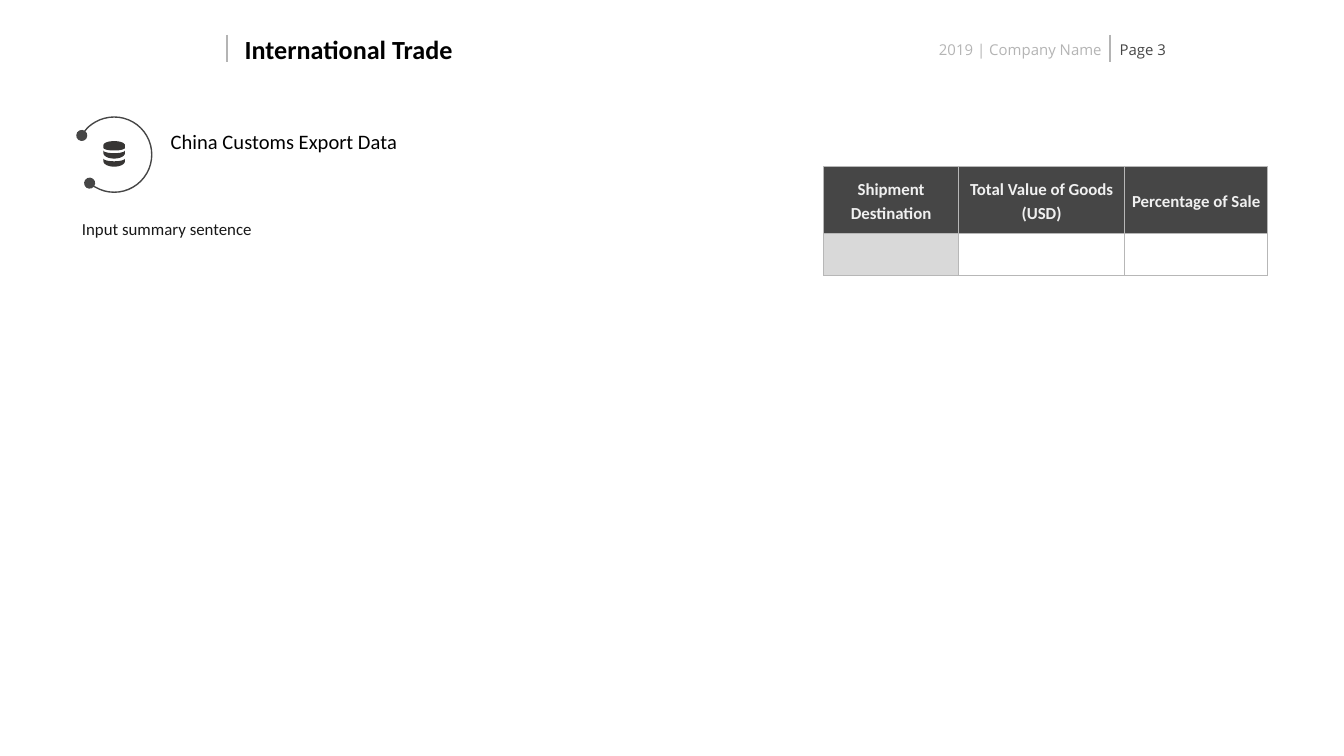
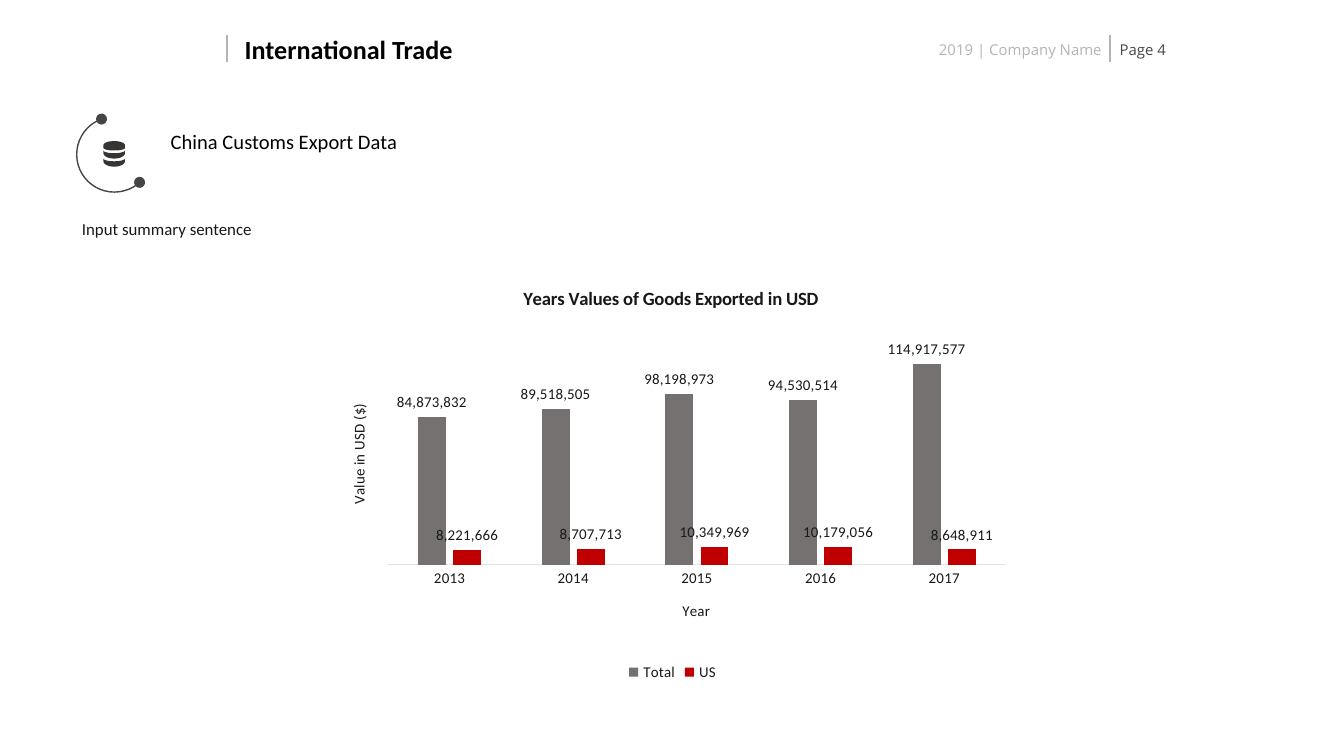
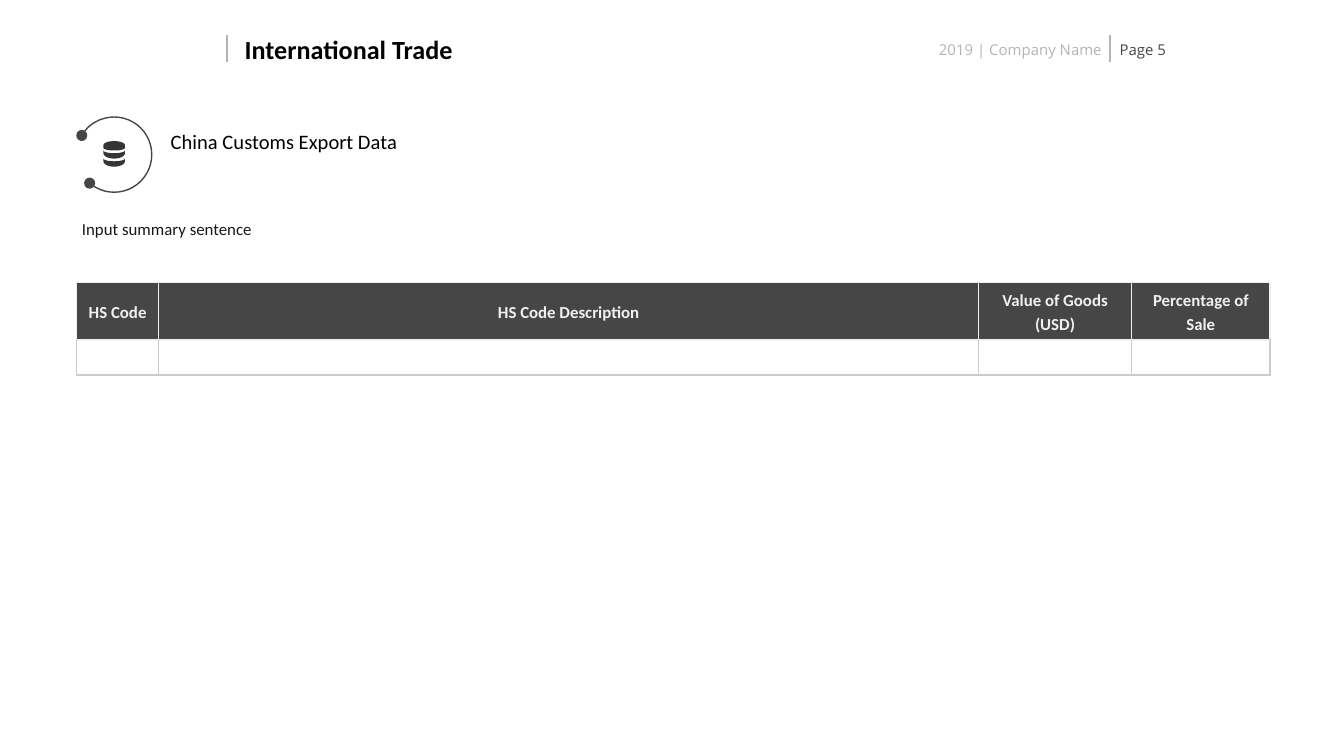
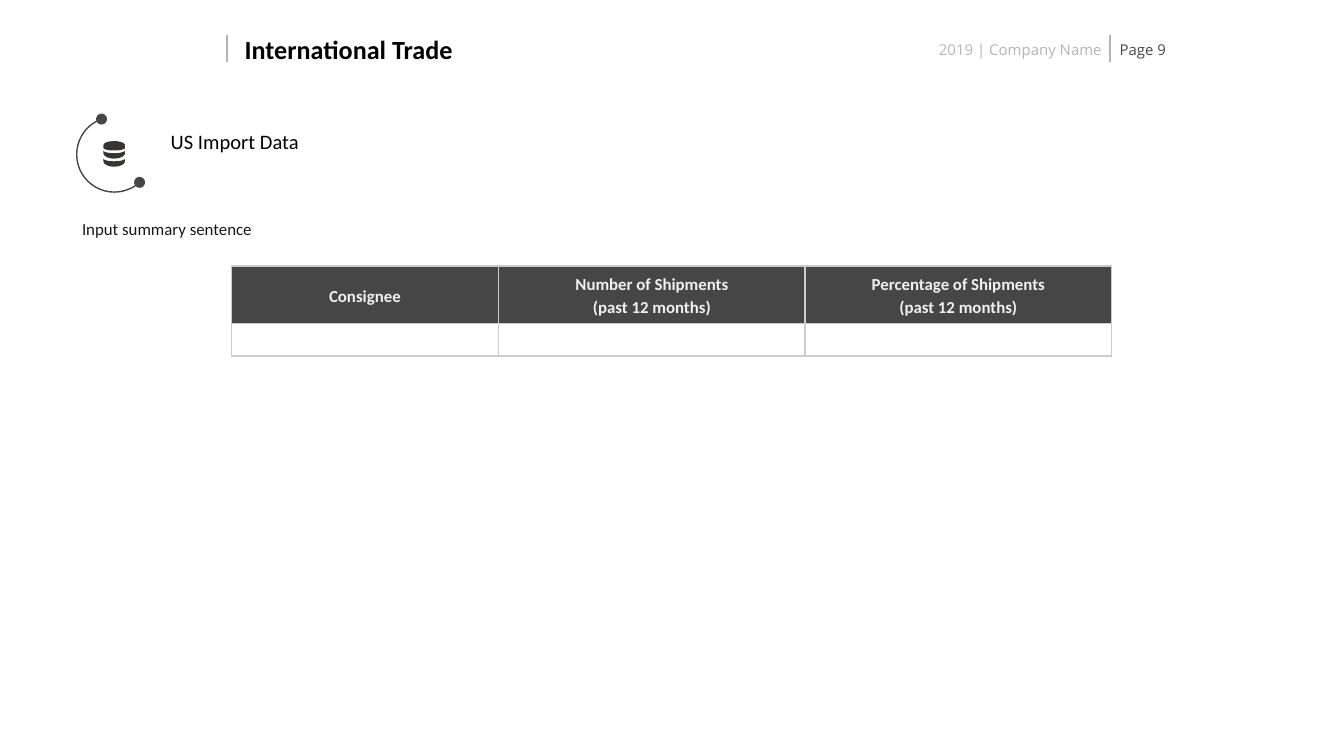
import math

import lxml.etree
import pptx
import pptx.chart.data
import pptx.dml.color
import pptx.enum.chart
import pptx.enum.shapes
import pptx.enum.text
import pptx.oxml
import pptx.oxml.ns
import pptx.util

Inches = pptx.util.Inches
Pt = pptx.util.Pt
RGBColor = pptx.dml.color.RGBColor
ALIGN = pptx.enum.text.PP_ALIGN
ANCHOR = pptx.enum.text.MSO_ANCHOR
SHAPES = pptx.enum.shapes.MSO_SHAPE
qn = pptx.oxml.ns.qn

# Shared look
BLACK = RGBColor(0x00, 0x00, 0x00)
INK = RGBColor(0x18, 0x18, 0x18)
CHARCOAL = RGBColor(0x46, 0x46, 0x46)
ICON = RGBColor(0x37, 0x35, 0x34)
MUTED = RGBColor(0xB4, 0xB4, 0xB4)
BORDER = RGBColor(0xB7, 0xB7, 0xB7)
LIGHT_BORDER = RGBColor(0xCC, 0xCC, 0xCC)
PALE = RGBColor(0xF0, 0xF0, 0xF0)
KEY_CELL = RGBColor(0xD9, 0xD9, 0xD9)
AXIS = RGBColor(0xE3, 0xE3, 0xE3)
TOTAL_BAR = RGBColor(0x76, 0x71, 0x71)
US_BAR = RGBColor(0xC0, 0x00, 0x00)
WHITE = RGBColor(0xFF, 0xFF, 0xFF)
BODY_FONT = "Calibri"
HEADER_FONT = "Open Sans"
LINE_WIDTH = Pt(0.75)

# Ring variants: rotation, then start and end of the arc
RING_OPEN_LEFT = (270, 180.35, 132.4)
RING_OPEN_RIGHT = (97.1, 186.43, 91.81)


def style_font(font, size, color=INK, bold=False, name=BODY_FONT):
    font.size = Pt(size)
    font.color.rgb = color
    font.bold = bold
    font.name = name


def write(frame, text, size, color=INK, bold=False, name=BODY_FONT,
          align=ALIGN.LEFT, spacing=None):
    """Fill a text frame, one paragraph for each line of text."""
    for index, line in enumerate(text.split("\n")):
        paragraph = frame.add_paragraph() if index else frame.paragraphs[0]
        paragraph.alignment = align
        if spacing:
            paragraph.line_spacing = spacing
        run = paragraph.add_run()
        run.text = line
        style_font(run.font, size, color, bold, name)


def set_frame(frame, inset_x=0.04, inset_y=0.02, anchor=ANCHOR.TOP):
    frame.word_wrap = True
    frame.auto_size = pptx.enum.text.MSO_AUTO_SIZE.NONE
    frame.vertical_anchor = anchor
    frame.margin_left = frame.margin_right = Inches(inset_x)
    frame.margin_top = frame.margin_bottom = Inches(inset_y)


def add_text(slide, box, text, size, insets=(0.04, 0.02), **text_format):
    label = slide.shapes.add_textbox(*map(Inches, box))
    set_frame(label.text_frame, *insets)
    write(label.text_frame, text, size, **text_format)


def add_divider(slide, x, top, height):
    divider = slide.shapes.add_connector(
        pptx.enum.shapes.MSO_CONNECTOR.STRAIGHT,
        Inches(x), Inches(top), Inches(x), Inches(top + height))
    divider.line.color.rgb = MUTED
    divider.line.width = LINE_WIDTH
    lxml.etree.SubElement(divider._element.spPr, qn("a:effectLst"))


def add_header(slide, page, box=(1.69, 0.26, 7.18, 0.2)):
    """Title at the left, company and page number at the right."""
    left, top, width, height = box
    page_left = left + width - 0.61
    for x in (left, page_left):
        add_divider(slide, x, top, height)
    title = slide.shapes.title
    title.left, title.top = Inches(left + 0.09), Inches(top)
    title.width, title.height = Inches(2.3), Inches(0.21)
    set_frame(title.text_frame, anchor=ANCHOR.MIDDLE)
    write(title.text_frame, "International Trade", 14, BLACK, bold=True)
    add_text(slide, (left + 1.2, top + 0.02, 5.35, 0.15), "2019 | Company Name", 8,
             color=MUTED, name=HEADER_FONT, align=ALIGN.RIGHT)
    add_text(slide, (page_left, top, 0.61, height), f"Page {page}", 8,
             insets=(0.07, 0.04), color=CHARCOAL, name=HEADER_FONT)


def half_ellipse(center_x, center_y, radius_x, radius_y, start, end, steps=16):
    """Points of an ellipse from one angle to another, in degrees."""
    angles = [math.radians(start + (end - start) * i / steps) for i in range(steps + 1)]
    return [(Inches(center_x + radius_x * math.cos(a)),
             Inches(center_y + radius_y * math.sin(a))) for a in angles]


def add_database_icon(slide, box):
    """A disc on top of two curved bands."""
    left, top, width, height = box
    radius = width / 2
    center = left + radius
    outlines = [half_ellipse(center, top + 0.03, radius, 0.03, 180, 360)
                + half_ellipse(center, top + 0.05, radius, 0.02, 0, 180)]
    for bottom in (top + height - 0.06, top + height):
        outlines.append(half_ellipse(center, bottom - 0.06, radius, 0.02, 180, 0)
                        + half_ellipse(center, bottom - 0.04, radius, 0.04, 0, 180))
    builder = slide.shapes.build_freeform(*outlines[0][0])
    for index, outline in enumerate(outlines):
        if index:
            builder.move_to(*outline[0])
        builder.add_line_segments(outline[1:], close=True)
    database = builder.convert_to_shape()
    database.fill.solid()
    database.fill.fore_color.rgb = ICON
    database.line.fill.background()
    database.shadow.inherit = False


def add_ring(slide, box, variant):
    rotation, start, end = variant
    ring = slide.shapes.add_shape(SHAPES.ARC, *map(Inches, box))
    ring.rotation = rotation
    ring.adjustments[0], ring.adjustments[1] = start, end
    ring.fill.background()
    ring.line.color.rgb = CHARCOAL
    ring.line.width = LINE_WIDTH
    ring.shadow.inherit = False
    for tip in ("a:headEnd", "a:tailEnd"):
        lxml.etree.SubElement(ring.line._get_or_add_ln(), qn(tip), type="oval")


def add_section(slide, heading, ring_variant, summary_width, box=(0.57, 0.87, 3.28, 1.04)):
    """Ringed icon, section heading and summary sentence."""
    left, top, width, height = box
    add_ring(slide, (left, top, 0.56, 0.56), ring_variant)
    add_database_icon(slide, (left + 0.2, top + 0.18, 0.16, 0.19))
    add_text(slide, (left + 0.7, top, width - 0.7, 0.23), heading, 11,
             insets=(0, 0), color=BLACK, spacing=1.5)
    add_text(slide, (left, top + height - 0.3, summary_width, 0.3),
             "Input summary sentence", 9)


def style_cell(cell, fill, border, top_border):
    cell.fill.solid()
    cell.fill.fore_color.rgb = fill
    cell.vertical_anchor = ANCHOR.MIDDLE
    cell.margin_left = cell.margin_right = Inches(0.04)
    cell.margin_top = cell.margin_bottom = Inches(0.04)
    properties = cell._tc.get_or_add_tcPr()
    for index, side in enumerate("LRTB"):
        color = top_border if side == "T" else border
        properties.insert(index, pptx.oxml.parse_xml(
            f'<a:ln{side} xmlns:a="{pptx.oxml.ns.nsuri("a")}" w="{LINE_WIDTH}">'
            f'<a:solidFill><a:srgbClr val="{color}"/></a:solidFill></a:ln{side}>'))


def add_data_table(slide, position, headings, widths, heights,
                   head_border, body_border, key_fill=WHITE):
    """Dark heading row over one empty row for data."""
    left, top = position
    table = slide.shapes.add_table(
        2, len(headings), *map(Inches, (left, top, sum(widths), sum(heights)))).table
    table.first_row = table.horz_banding = False
    for row, height in zip(table.rows, heights):
        row.height = Inches(height)
    for index, (heading, width) in enumerate(zip(headings, widths)):
        table.columns[index].width = Inches(width)
        head, entry = table.cell(0, index), table.cell(1, index)
        style_cell(head, CHARCOAL, head_border, head_border)
        write(head.text_frame, heading, 9, PALE, bold=True,
              align=ALIGN.CENTER, spacing=1.15)
        style_cell(entry, WHITE if index else key_fill, body_border, head_border)
        entry_end = entry.text_frame.paragraphs[0]._p.get_or_add_endParaRPr()
        entry_end.set("sz", "900")


def place_in_chart(element, **fractions):
    """Fix a chart part by fractions of the chart's box."""
    layout = element.find(qn("c:layout"))
    if layout is None:
        layout = element.makeelement(qn("c:layout"))
        element.insert(0 if element.find(qn("c:tx")) is None else 1, layout)
    manual = lxml.etree.SubElement(layout, qn("c:manualLayout"))
    if "w" in fractions:
        lxml.etree.SubElement(manual, qn("c:layoutTarget"), val="inner")
    for axis in "xy":
        lxml.etree.SubElement(manual, qn(f"c:{axis}Mode"), val="edge")
    for key, value in fractions.items():
        lxml.etree.SubElement(manual, qn(f"c:{key}"), val=str(value))


def add_export_chart(slide, box):
    data = pptx.chart.data.CategoryChartData(number_format="#,##0")
    data.categories = ["2013", "2014", "2015", "2016", "2017"]
    data.add_series("Total", (84873832, 89518505, 98198973, 94530514, 114917577))
    data.add_series("US", (8221666, 8707713, 10349969, 10179056, 8648911))
    chart = slide.shapes.add_chart(
        pptx.enum.chart.XL_CHART_TYPE.COLUMN_CLUSTERED, *map(Inches, box), data).chart
    style_font(chart.font, 8)

    # Titles
    years, values = chart.category_axis, chart.value_axis
    for title, text, size, bold, x, y in (
            (chart.chart_title, "Years Values of Goods Exported in USD", 10, True, 0.28, 0.04),
            (years.axis_title, "Year", 8, False, 0.51, 0.79),
            (values.axis_title, "Value in USD ($)", 8, False, 0.03, 0.32)):
        write(title.text_frame, text, size, bold=bold, align=ALIGN.CENTER)
        place_in_chart(title._element, x=x, y=y)

    # Axes and plot area
    years.format.line.color.rgb = AXIS
    years.format.line.width = LINE_WIDTH
    years.major_tick_mark = pptx.enum.chart.XL_TICK_MARK.NONE
    style_font(years.tick_labels.font, 8)
    values.visible = False
    values.has_major_gridlines = False
    values.minimum_scale, values.maximum_scale = 0, 140000000
    place_in_chart(chart._chartSpace.chart.plotArea, x=0.09, y=0.13, w=0.89, h=0.58)

    # Columns and their values
    plot = chart.plots[0]
    plot.gap_width, plot.overlap = 219, -27
    plot.vary_by_categories = False
    for series, color in zip(plot.series, (TOTAL_BAR, US_BAR)):
        series.format.fill.solid()
        series.format.fill.fore_color.rgb = color
        labels = series.data_labels
        labels.show_value = True
        labels.number_format, labels.number_format_is_linked = "#,##0", False
        labels.position = pptx.enum.chart.XL_LABEL_POSITION.OUTSIDE_END
        style_font(labels.font, 8)

    chart.has_legend = True
    chart.legend.position = pptx.enum.chart.XL_LEGEND_POSITION.BOTTOM
    chart.legend.include_in_layout = False
    style_font(chart.legend.font, 8)


def add_trade_slide(deck, page, heading, ring_variant, summary_width=8):
    slide = deck.slides.add_slide(deck.slide_layouts[5])
    add_header(slide, page)
    add_section(slide, heading, ring_variant, summary_width)
    return slide


def main():
    deck = pptx.Presentation()
    deck.slide_width = Inches(10)
    deck.slide_height = deck.slide_width * 9 // 16
    export_heading = "China Customs Export Data"

    # Exports by destination
    destinations = add_trade_slide(deck, 3, export_heading, RING_OPEN_LEFT, 5.3)
    add_data_table(destinations, (6.13, 1.24),
                   ["Shipment Destination", "Total Value of Goods (USD)", "Percentage of Sale"],
                   [1, 1.24, 1.06], [0.5, 0.31], BORDER, BORDER, key_fill=KEY_CELL)

    # Exports by year
    yearly = add_trade_slide(deck, 4, export_heading, RING_OPEN_RIGHT)
    add_export_chart(yearly, (2.42, 1.98, 5.17, 3.13))

    # Exports by HS code
    codes = add_trade_slide(deck, 5, export_heading, RING_OPEN_LEFT)
    add_data_table(codes, (0.57, 2.1),
                   ["HS Code", "HS Code Description", "Value of Goods (USD)",
                    "Percentage of Sale"],
                   [0.61, 6.1, 1.14, 1.03], [0.43, 0.26], PALE, LIGHT_BORDER)

    # Imports by consignee
    consignees = add_trade_slide(deck, 9, "US Import Data", RING_OPEN_RIGHT, 8.19)
    add_data_table(consignees, (1.72, 1.98),
                   ["Consignee", "Number of Shipments\n(past 12 months)",
                    "Percentage of Shipments\n(past 12 months)"],
                   [1.99, 2.28, 2.28], [0.43, 0.24], LIGHT_BORDER, LIGHT_BORDER)

    deck.save("out.pptx")


if __name__ == "__main__":
    main()
